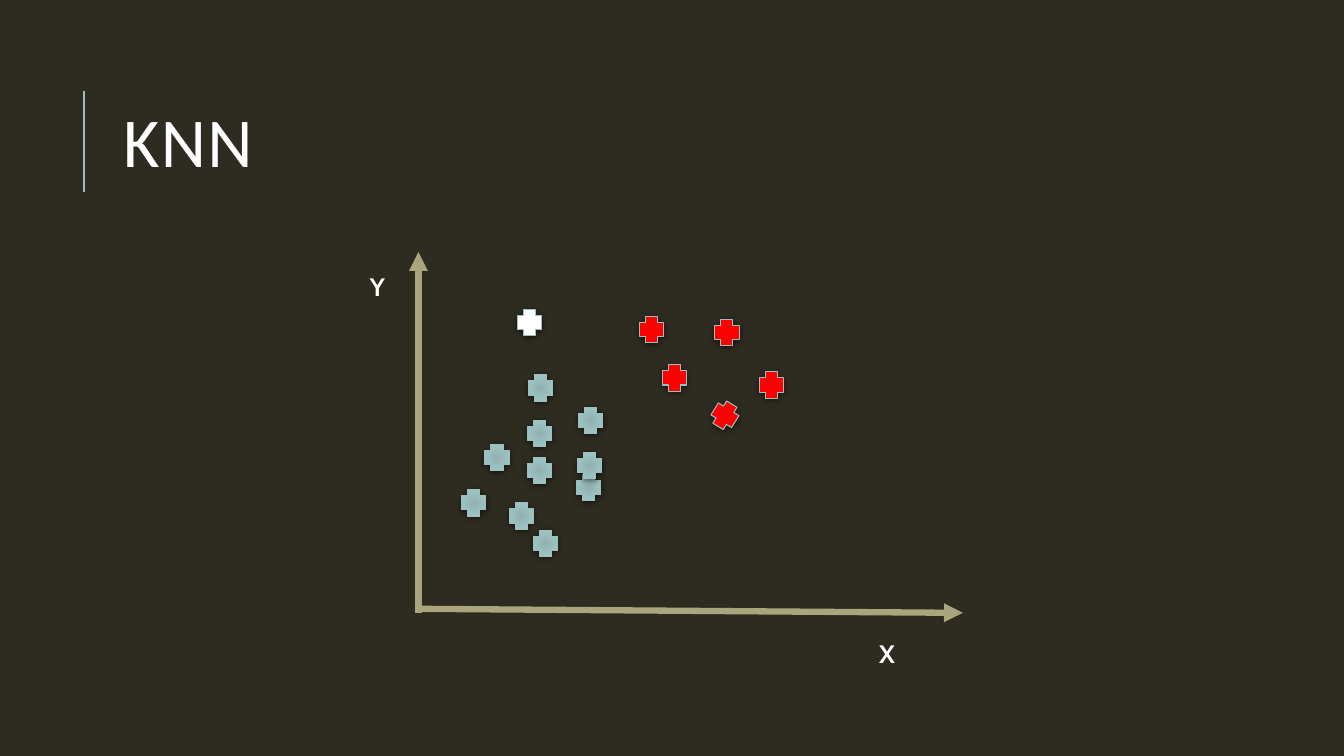
from lxml import etree
from pptx import Presentation
from pptx import util as u
from pptx.dml import color
from pptx.enum import shapes, text
from pptx.oxml import parse_xml
from pptx.oxml.ns import nsdecls, qn

BACKGROUND = "2E2B21"
WHITE = "FFFFFF"
RED = "FF0000"
TEAL = "9CBEBD"
AXIS = "A9A57C"
MARKER_SIZE = (0.24, 0.26)

TEAL_POINTS = [
    (5.24, 3.72), (5.29, 5.26), (4.81, 4.41), (5.74, 4.04), (4.58, 4.86),
    (5.05, 4.99), (5.23, 4.54), (5.72, 4.71), (5.23, 4.17), (5.73, 4.49),
]
RED_POINTS = [
    (6.34, 3.14, 0), (6.57, 3.62, 0), (7.09, 3.17, 0),
    (7.53, 3.69, 0), (7.07, 3.99, 31.7),
]
QUERY_POINT = (5.13, 3.07)

SHADOW = f"""<a:effectLst {nsdecls("a")}>
  <a:outerShdw blurRad="50800" dist="12700" dir="5400000" rotWithShape="0">
    <a:srgbClr val="000000"><a:alpha val="50000"/></a:srgbClr>
  </a:outerShdw>
</a:effectLst>"""
RADIAL = f"""<a:path {nsdecls("a")} path="circle">
  <a:fillToRect l="100000" t="100000" r="100000" b="100000"/>
</a:path>"""


def rgb(value):
    return color.RGBColor.from_string(value)


def set_font(paragraph, name, size, bold=False):
    font = paragraph.font
    font.name = name
    font.size = u.Pt(size)
    font.bold = bold
    font.color.rgb = rgb(WHITE)


def set_title(slide, words):
    title = slide.shapes.title
    title.left, title.top = u.Inches(1.12), u.Inches(0.64)
    title.width, title.height = u.Inches(10.63), u.Inches(1.64)
    frame = title.text_frame
    frame.text = words
    frame.vertical_anchor = text.MSO_ANCHOR.MIDDLE
    paragraph = frame.paragraphs[0]
    paragraph.alignment = text.PP_ALIGN.LEFT
    paragraph.line_spacing = 0.8
    set_font(paragraph, "Calibri", 50)
    paragraph.font._element.set("spc", "100")


def add_line(slide, start, end, line_color, width, arrow=False):
    points = [u.Inches(value) for value in (*start, *end)]
    connector = slide.shapes.add_connector(shapes.MSO_CONNECTOR.STRAIGHT, *points)
    connector.line.color.rgb = rgb(line_color)
    connector.line.width = u.Pt(width)
    if arrow:
        etree.SubElement(connector.line._get_or_add_ln(), qn("a:tailEnd"), type="triangle")
    etree.SubElement(connector._element.spPr, qn("a:effectLst"))


def add_label(slide, left, top, words):
    box = slide.shapes.add_textbox(
        u.Inches(left), u.Inches(top), u.Inches(0.76), u.Inches(0.4))
    frame = box.text_frame
    frame.word_wrap = True
    frame.auto_size = text.MSO_AUTO_SIZE.SHAPE_TO_FIT_TEXT
    frame.text = words
    set_font(frame.paragraphs[0], "Cabin", 18, bold=True)


def add_marker(slide, left, top, fill_color, rotation=0):
    width, height = MARKER_SIZE
    marker = slide.shapes.add_shape(
        shapes.MSO_SHAPE.CROSS,
        u.Inches(left), u.Inches(top), u.Inches(width), u.Inches(height))
    marker.rotation = rotation
    marker.fill.solid()
    marker.fill.fore_color.rgb = rgb(fill_color)
    marker.line.color.rgb = rgb(TEAL)
    marker.line.width = u.Pt(0.75)
    marker._element.spPr.append(parse_xml(SHADOW))
    return marker


def apply_radial_fill(marker, inner, outer):
    marker.fill.gradient()
    for stop, position, value in zip(marker.fill.gradient_stops, (0, 1), (inner, outer)):
        stop.position = position
        stop.color.rgb = rgb(value)
    gradient = marker._element.spPr.find(qn("a:gradFill"))
    gradient.replace(gradient.find(qn("a:lin")), parse_xml(RADIAL))


def main():
    presentation = Presentation()
    presentation.slide_width = u.Inches(13.33)
    presentation.slide_height = u.Inches(7.5)
    slide = presentation.slides.add_slide(presentation.slide_layouts[5])
    slide.background.fill.solid()
    slide.background.fill.fore_color.rgb = rgb(BACKGROUND)

    add_line(slide, (0.83, 1.9), (0.83, 0.9), TEAL, 1.5)
    set_title(slide, "KNN")
    add_line(slide, (4.15, 6.08), (4.15, 2.5), AXIS, 4.5, arrow=True)
    add_line(slide, (4.15, 6.04), (9.55, 6.08), AXIS, 4.5, arrow=True)
    add_label(slide, 3.57, 2.64, "Y")
    add_label(slide, 8.62, 6.28, "X")

    for left, top in TEAL_POINTS:
        apply_radial_fill(add_marker(slide, left, top, TEAL), "91B1B0", "A2CDCC")
    for left, top, rotation in RED_POINTS:
        add_marker(slide, left, top, RED, rotation)
    add_marker(slide, *QUERY_POINT, WHITE)

    presentation.save("out.pptx")


if __name__ == "__main__":
    main()
